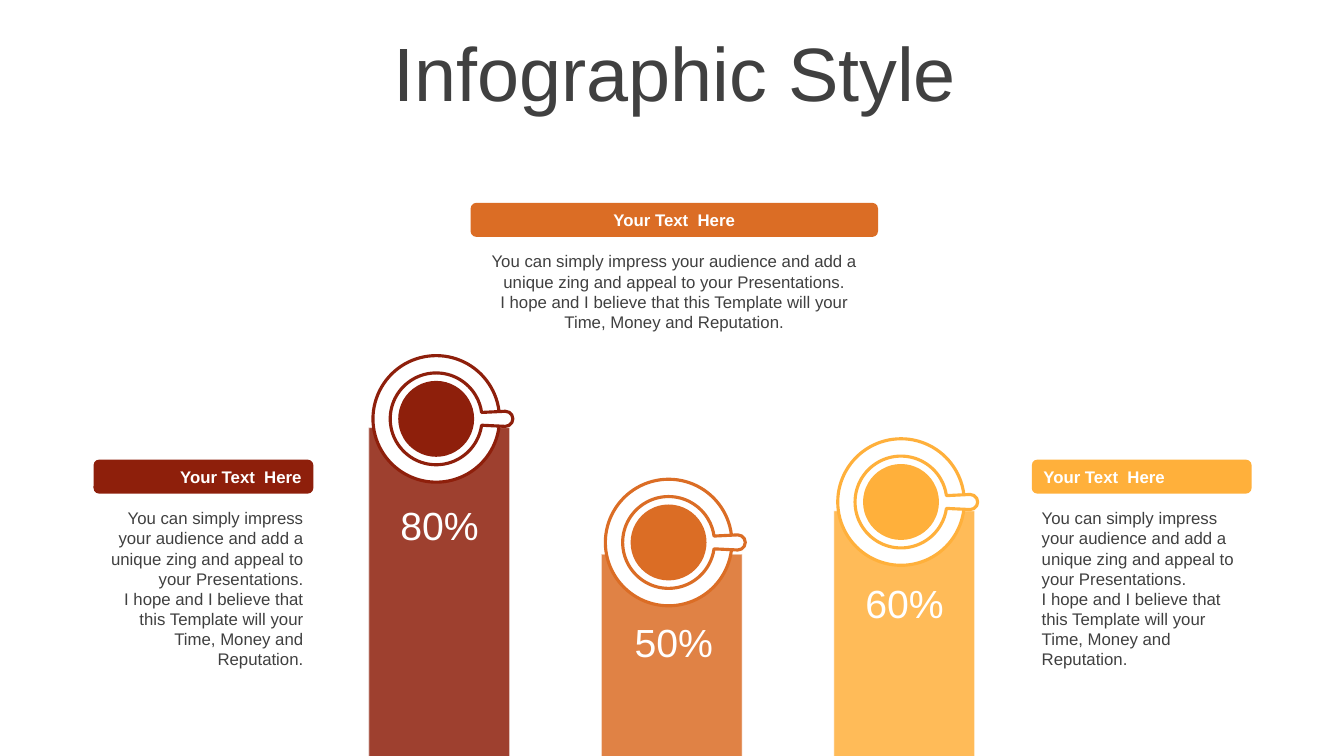
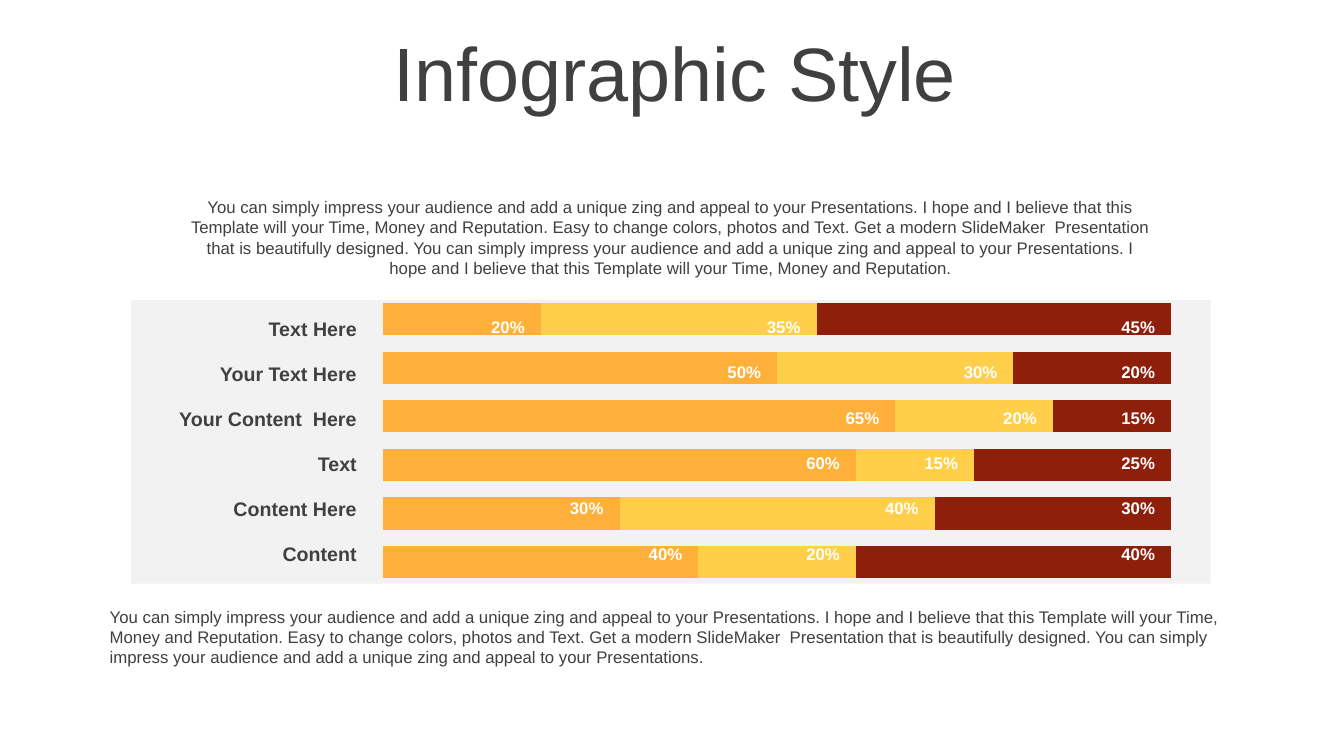
from math import cos, radians, sin

from pptx import Presentation
from pptx.chart.data import CategoryChartData
from pptx.dml.color import RGBColor
from pptx.enum.chart import XL_CHART_TYPE as ChartType
from pptx.enum.shapes import MSO_SHAPE as Shape
from pptx.enum.text import MSO_ANCHOR as Anchor, PP_ALIGN as Align
from pptx.oxml import parse_xml
from pptx.oxml.ns import nsdecls
from pptx.util import Pt

rgb = RGBColor.from_string
FONT = "Arial"
DARK, WHITE, PANEL = "404040", "FFFFFF", "F2F2F2"
RED, ORANGE, AMBER, YELLOW = "8E1F0B", "DB6D25", "FFB03B", "FFCE4B"

IMPRESS = ("You can simply impress your audience and add a unique zing "
           "and appeal to your Presentations.")
HOPE = "I hope and I believe that this Template will your Time, Money and Reputation."
MODERN = ("Easy to change colors, photos and Text. Get a modern SlideMaker  "
          "Presentation that is beautifully designed.")


def write(shape, lines, size, color=DARK, align=Align.LEFT, bold=False, anchor=Anchor.TOP):
    frame = shape.text_frame
    frame.word_wrap = True
    frame.vertical_anchor = anchor
    frame.text = "\n".join(lines)
    for para in frame.paragraphs:
        para.alignment = align
        para.font.name = FONT
        para.font.size = Pt(size)
        para.font.bold = bold
        para.font.color.rgb = rgb(color)
    return frame


def add_bare_chart(page, kind, data, box, inner, gap):
    """Add a chart without axes; inner is the plot area as fractions of the box."""
    chart = page.shapes.add_chart(kind, *map(Pt, box), data).chart
    chart.has_legend = chart.has_title = False
    chart.font.name = FONT
    chart.font.size = Pt(10)
    for axis in (chart.category_axis, chart.value_axis):
        axis.has_major_gridlines = False
        axis.visible = False
    plot = chart.plots[0]
    plot.gap_width = gap
    plot.vary_by_categories = False
    area = chart.element.xpath("c:chart/c:plotArea")[0]
    for layout in area.xpath("c:layout"):
        area.remove(layout)
    sizes = "".join(f'<c:{tag} val="{value}"/>' for tag, value in zip("xywh", inner))
    area.insert(0, parse_xml(
        f'<c:layout {nsdecls("c")}><c:manualLayout><c:layoutTarget val="inner"/>'
        f'<c:xMode val="edge"/><c:yMode val="edge"/>{sizes}</c:manualLayout></c:layout>'))
    return chart


deck = Presentation()
deck.slide_width, deck.slide_height = Pt(960), Pt(540)
pages = [deck.slides.add_slide(deck.slide_layouts[6]) for _ in range(2)]
column_page, bar_page = pages

# Slide 1: columns topped with coffee cups
data = CategoryChartData()
data.categories = ["1", "2", "3"]
data.add_series("Series 1", [100, 62, 75])
chart = add_bare_chart(column_page, ChartType.COLUMN_CLUSTERED, data,
                       (220.3, 275.8, 519.1, 290.9), (0.02, 0, 0.96, 0.92), 65)
chart.value_axis.minimum_scale = 0
chart.value_axis.maximum_scale = 112.5
columns = chart.plots[0].series[0]
for index, color in enumerate((RED, ORANGE, AMBER)):
    style = columns.points[index].format
    style.fill.solid()
    style.fill.fore_color.rgb = rgb(color)
    style.line.color.rgb = rgb(WHITE)
    style.line.width = Pt(0.75)
for point in chart.element.xpath(".//c:dPt"):
    for fill, percent in (("c:spPr/a:solidFill", 85), ("c:spPr/a:ln/a:solidFill", 50)):
        tint = point.xpath(f"{fill}/a:srgbClr")[0]
        tint.append(parse_xml(f'<a:alpha {nsdecls("a")} val="{percent * 1000}"/>'))

# Shared title
for page in pages:
    box = page.shapes.add_textbox(Pt(26), Pt(26.3), Pt(912), Pt(57))
    title = write(box, ["Infographic Style"], 54, align=Align.CENTER, anchor=Anchor.MIDDLE)
    title.paragraphs[0].line_spacing = 0.9

percents = [("80%", 264.2, 354.6), ("50%", 431.6, 438.2), ("60%", 596.4, 410.2)]
for percent, left, top in percents:
    box = column_page.shapes.add_textbox(Pt(left), Pt(top), Pt(99.4), Pt(41))
    write(box, [percent], 28, WHITE, Align.CENTER)

callouts = [
    (336.2, 144.9, 291, 65.5, ORANGE, Align.CENTER),
    (737, 328.3, 157, 124, AMBER, Align.LEFT),
    (66.8, 328.3, 157, 124, RED, Align.RIGHT),
]
for left, top, width, height, color, align in callouts:
    group = column_page.shapes.add_group_shape()
    header = group.shapes.add_shape(
        Shape.ROUNDED_RECTANGLE, Pt(left), Pt(top), Pt(width), Pt(24.3))
    header.shadow.inherit = False
    header.fill.solid()
    header.fill.fore_color.rgb = rgb(color)
    header.line.fill.background()
    write(header, ["Your Text  Here"], 12, WHITE, align, True, Anchor.MIDDLE)
    body = group.shapes.add_textbox(Pt(left), Pt(top + 31), Pt(width), Pt(height))
    write(body, [IMPRESS, HOPE], 12, align=align)

# The cup outline: an open ring, then the rounded handle end.
# Each arc is its centre's x offset, its radius and the angles it passes.
cup_arcs = [(0, 32.8, (8, 90, 180, 270, 352)), (49.4, 5.4, (-90, 0, 90))]

cups = [(299.2, RED), (387.5, ORANGE), (358.6, AMBER)]
for index, (cup_y, color) in enumerate(cups):
    cup_x = 311.6 + 166 * index
    group = column_page.shapes.add_group_shape()
    saucer = group.shapes.add_shape(
        Shape.OVAL, Pt(cup_x - 45.2), Pt(cup_y - 45.2), Pt(90.4), Pt(90.4))

    corners = [(Pt(cup_x + offset + radius * cos(radians(angle))),
                Pt(cup_y + radius * sin(radians(angle))))
               for offset, radius, angles in cup_arcs for angle in angles]
    builder = group.shapes.build_freeform(*corners[0])
    builder.add_line_segments(corners[1:], close=True)
    cup = builder.convert_to_shape()
    segments = cup.element.xpath(".//a:lnTo")
    position = 0
    for _, radius, angles in cup_arcs:
        for start, end in zip(angles, angles[1:]):
            segment = segments[position]
            segment.getparent().replace(segment, parse_xml(
                f'<a:arcTo {nsdecls("a")} wR="{Pt(radius)}" hR="{Pt(radius)}" '
                f'stAng="{start % 360 * 60000}" swAng="{(end - start) * 60000}"/>'))
            position += 1
        position += 1  # the straight side of the handle stays

    coffee = group.shapes.add_shape(
        Shape.OVAL, Pt(cup_x - 26), Pt(cup_y - 26), Pt(52), Pt(52))
    for shape, fill in ((saucer, WHITE), (cup, WHITE), (coffee, color)):
        shape.shadow.inherit = False
        shape.fill.solid()
        shape.fill.fore_color.rgb = rgb(fill)
        shape.line.color.rgb = rgb(color)
        shape.line.width = Pt(2.25)

# Slide 2: stacked bars, rows listed from top to bottom
rows = [
    ("Text Here", (20, 35, 45)),
    ("Your Text Here", (50, 30, 20)),
    ("Your Content  Here", (65, 20, 15)),
    ("Text", (60, 15, 25)),
    ("Content Here", (30, 40, 30)),
    ("Content", (40, 20, 40)),
]
panel = bar_page.shapes.add_shape(Shape.RECTANGLE, Pt(93.7), Pt(214.4), Pt(771), Pt(202.5))
panel.shadow.inherit = False
panel.fill.solid()
panel.fill.fore_color.rgb = rgb(PANEL)
panel.line.fill.background()

data = CategoryChartData()
data.categories = [str(number) for number in range(1, 7)]
for index in range(3):
    data.add_series(f"Series {index + 1}", [values[index] for _, values in reversed(rows)])
chart = add_bare_chart(bar_page, ChartType.BAR_STACKED_100, data,
                       (262.1, 206.4, 586.1, 216.7), (0.02, 0.02, 0.96, 0.96), 50)
chart.plots[0].overlap = 100
for series, color in zip(chart.plots[0].series, (AMBER, YELLOW, RED)):
    series.format.fill.solid()
    series.format.fill.fore_color.rgb = rgb(color)

bar_left, bar_width = 273.8, 562.7
for index, (label, values) in enumerate(rows):
    box = bar_page.shapes.add_textbox(Pt(105.8), Pt(222.5 + 32.15 * index), Pt(156.2), Pt(24.5))
    write(box, [label], 14, align=Align.RIGHT, bold=True, anchor=Anchor.MIDDLE)
    total = 0
    for value in values:
        total += value
        end = bar_left + bar_width * total / 100
        box = bar_page.shapes.add_textbox(
            Pt(end - 46.2), Pt(222.6 + 32.4 * index), Pt(45.4), Pt(21.6))
        write(box, [f"{value}%"], 12, WHITE, Align.CENTER, True)

intro = bar_page.shapes.add_textbox(Pt(126.7), Pt(137.2), Pt(704.9), Pt(65.5))
write(intro, [" ".join((IMPRESS, HOPE, MODERN, IMPRESS, HOPE))], 12, align=Align.CENTER)
closing = bar_page.shapes.add_textbox(Pt(71.3), Pt(429.8), Pt(815.8), Pt(51.1))
write(closing, [" ".join((IMPRESS, HOPE, MODERN, IMPRESS))], 12)

deck.save("out.pptx")
